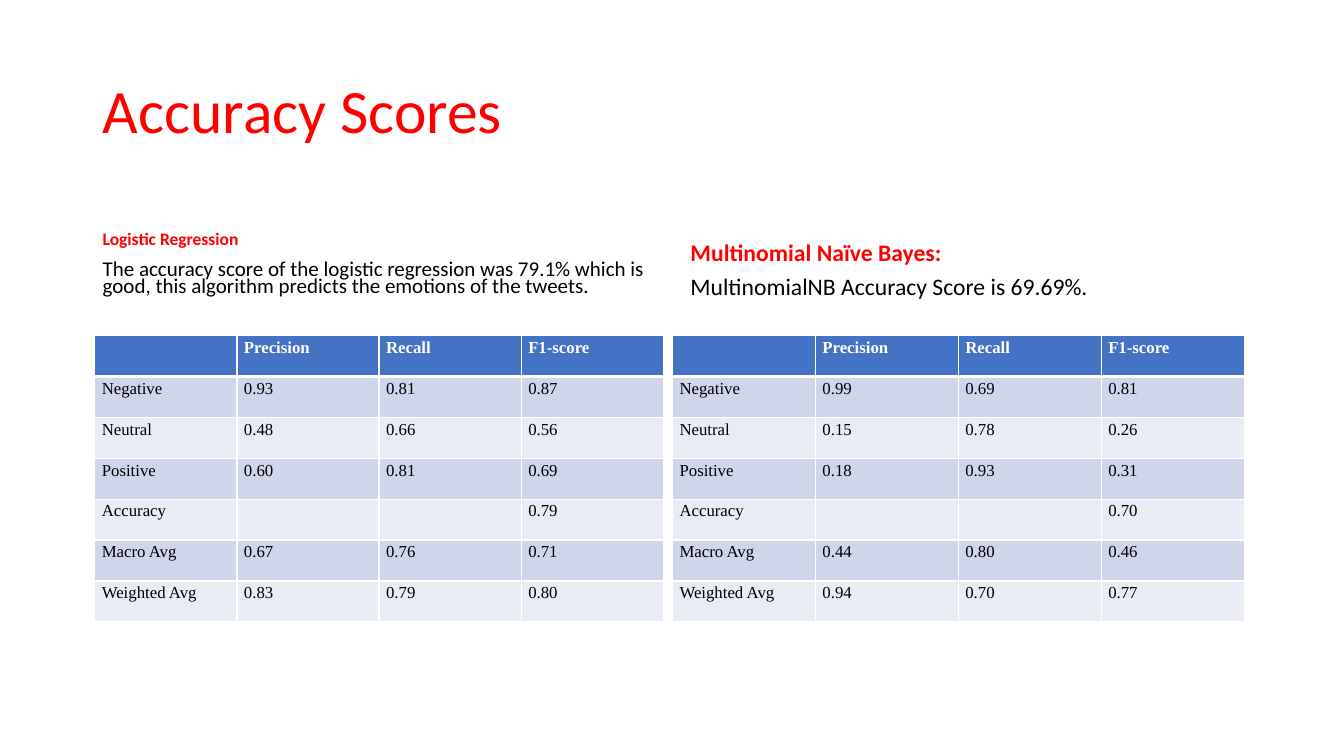
"""Build the accuracy scores slide comparing two classifiers."""
from lxml import etree
from pptx import Presentation
from pptx import util as u
from pptx.dml.color import RGBColor
from pptx.enum import text
from pptx.oxml.ns import qn

RED, BLACK, WHITE = "FF0000", "000000", "FFFFFF"
HEADER, BANDS = "4472C4", ("E9EBF5", "CFD5EA")
COLUMNS = ("", "Precision", "Recall", "F1-score")
CLASSES = ("Negative", "Neutral", "Positive", "Accuracy", "Macro Avg", "Weighted Avg")
LOGISTIC_SCORES = (
    ("0.93", "0.81", "0.87"),
    ("0.48", "0.66", "0.56"),
    ("0.60", "0.81", "0.69"),
    ("", "", "0.79"),
    ("0.67", "0.76", "0.71"),
    ("0.83", "0.79", "0.80"),
)
BAYES_SCORES = (
    ("0.99", "0.69", "0.81"),
    ("0.15", "0.78", "0.26"),
    ("0.18", "0.93", "0.31"),
    ("", "", "0.70"),
    ("0.44", "0.80", "0.46"),
    ("0.94", "0.70", "0.77"),
)


def paint(target, color):
    target.rgb = RGBColor.from_string(color)


def write(paragraph, content, font="Calibri", size=12, color=BLACK, bold=False,
          line=1.0, before=0, after=0):
    paragraph.alignment = text.PP_ALIGN.LEFT
    paragraph.line_spacing = line
    paragraph.space_before, paragraph.space_after = u.Pt(before), u.Pt(after)
    run = paragraph.add_run()
    run.text = content
    run.font.name, run.font.size, run.font.bold = font, u.Pt(size), bold
    paint(run.font.color, color)


class ScoreSlide:
    def __init__(self, presentation):
        self.slide = presentation.slides.add_slide(presentation.slide_layouts[5])

    def title(self, content, left, top, width, height):
        shape = self.slide.shapes.title
        shape.left, shape.top = u.Inches(left), u.Inches(top)
        shape.width, shape.height = u.Inches(width), u.Inches(height)
        frame = shape.text_frame
        frame.auto_size = text.MSO_AUTO_SIZE.NONE
        frame.vertical_anchor = text.MSO_ANCHOR.MIDDLE
        write(frame.paragraphs[0], content, size=44, color=RED, line=0.9)

    def summary(self, heading, body, left, top, width, height, sizes, bottom):
        box = self.slide.shapes.add_textbox(
            u.Inches(left), u.Inches(top), u.Inches(width), u.Inches(height))
        frame = box.text_frame
        frame.word_wrap = True
        frame.vertical_anchor = text.MSO_ANCHOR.BOTTOM
        frame.margin_bottom = u.Inches(bottom)
        write(frame.paragraphs[0], heading, size=sizes[0], color=RED, bold=True,
              line=0.7, before=10)
        write(frame.add_paragraph(), body, size=sizes[1], line=0.7, before=10)

    def table(self, scores, left, top, width, height):
        rows = [COLUMNS] + [(name, *values) for name, values in zip(CLASSES, scores)]
        table = self.slide.shapes.add_table(
            len(rows), len(COLUMNS), u.Inches(left), u.Inches(top),
            u.Inches(width), u.Inches(height)).table
        for row, values in enumerate(rows):
            for column, value in enumerate(values):
                self.cell(table.cell(row, column), value, row)

    def cell(self, cell, value, row):
        is_header = row == 0
        cell.margin_left = cell.margin_right = u.Inches(0.07)
        cell.margin_top = cell.margin_bottom = 0
        self.border(cell, "L", 1)
        self.border(cell, "R", 1)
        self.border(cell, "T", 3 if row == 1 else 1)
        self.border(cell, "B", 3 if is_header else 1)
        cell.fill.solid()
        paint(cell.fill.fore_color, HEADER if is_header else BANDS[row % 2])
        if value:
            write(cell.text_frame.paragraphs[0], value, font="Times New Roman",
                  color=WHITE if is_header else BLACK, bold=is_header,
                  line=1.15, after=10)

    def border(self, cell, side, points):
        properties = cell._tc.get_or_add_tcPr()
        line = etree.SubElement(properties, qn(f"a:ln{side}"), w=str(u.Pt(points)))
        fill = etree.SubElement(line, qn("a:solidFill"))
        etree.SubElement(fill, qn("a:srgbClr"), val=WHITE)


def main():
    presentation = Presentation()
    presentation.slide_width, presentation.slide_height = u.Inches(13.33), u.Inches(7.5)
    page = ScoreSlide(presentation)
    page.title("Accuracy Scores", 0.92, 0.4, 11.5, 1.45)
    page.summary(
        "Logistic Regression",
        "The accuracy score of the logistic regression was 79.1% which is good, "
        "this algorithm predicts the emotions of the tweets.",
        0.92, 1.85, 5.64, 1.28, sizes=(12.5, 15), bottom=0.18)
    page.table(LOGISTIC_SCORES, 0.94, 3.33, 5.64, 2.84)
    page.summary(
        "Multinomial Naïve Bayes:", "MultinomialNB Accuracy Score is 69.69%.",
        6.75, 2, 5.67, 1.12, sizes=(16.9, 16.9), bottom=0.15)
    page.table(BAYES_SCORES, 6.67, 3.33, 5.67, 2.84)
    presentation.save("out.pptx")


if __name__ == "__main__":
    main()
